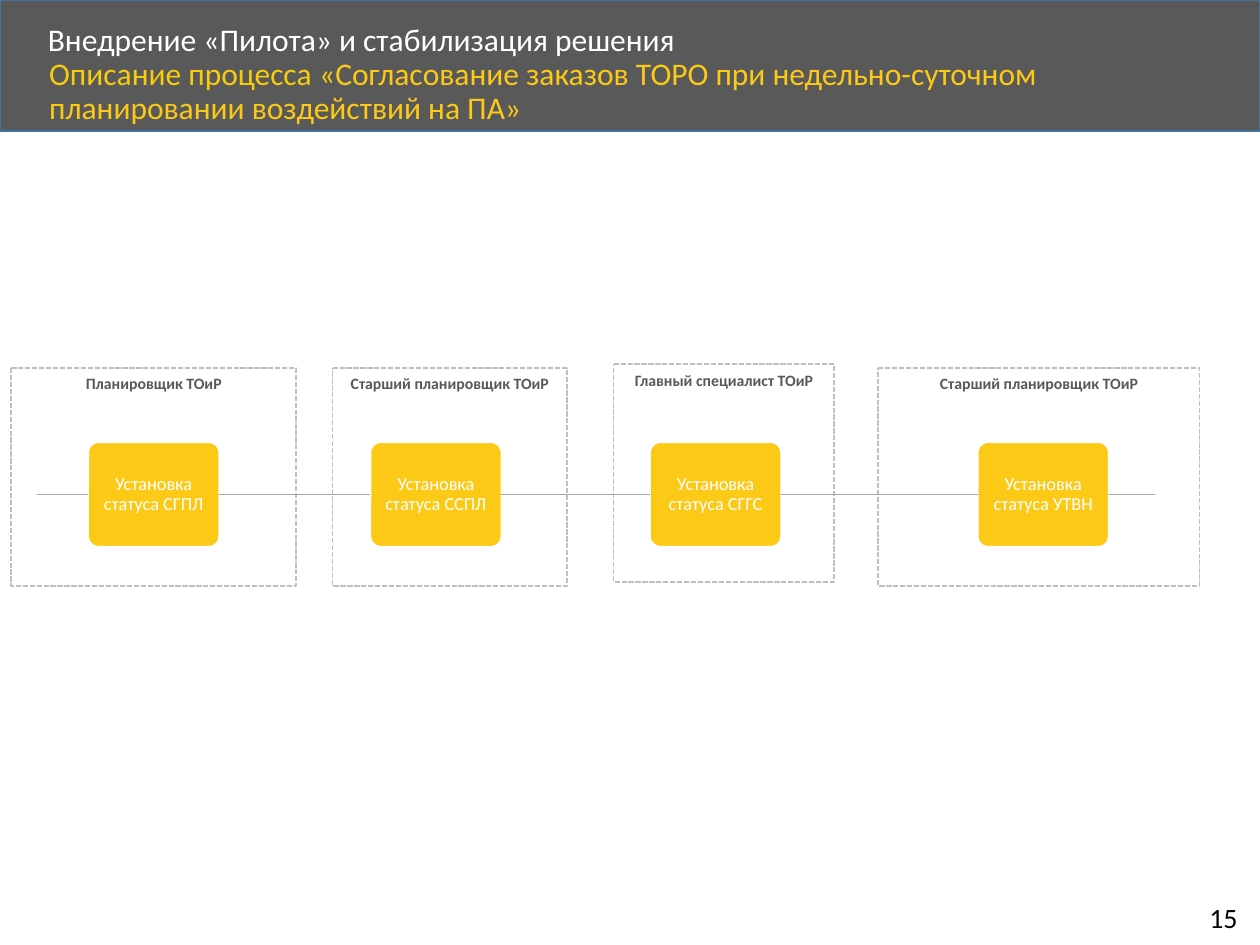
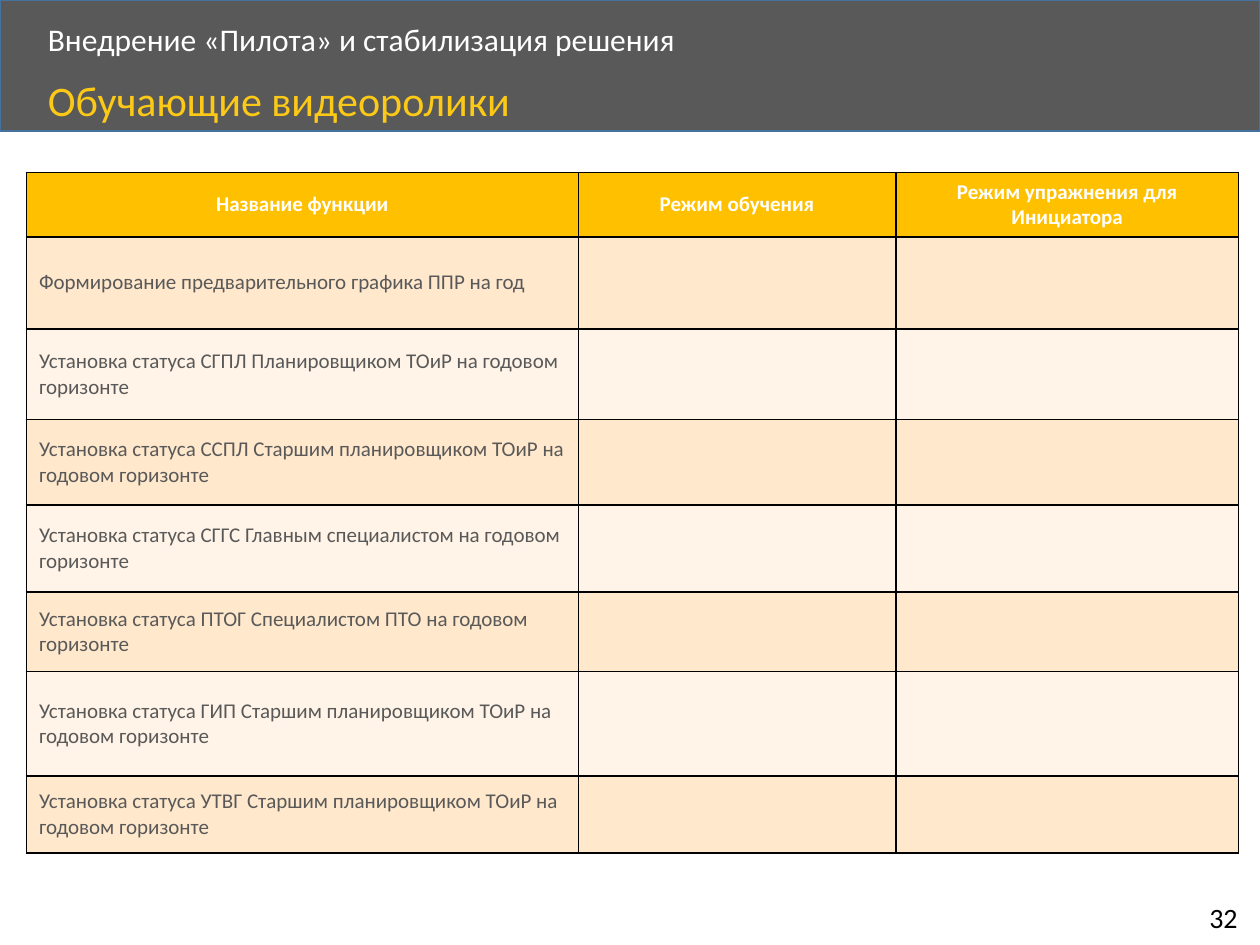
from dataclasses import dataclass

from lxml.etree import SubElement
from pptx import Presentation
from pptx.dml.color import RGBColor
from pptx.enum.dml import MSO_LINE
from pptx.enum.shapes import MSO_CONNECTOR, MSO_SHAPE
from pptx.enum.text import MSO_ANCHOR, MSO_AUTO_SIZE, PP_ALIGN
from pptx.oxml import parse_xml
from pptx.oxml.ns import nsdecls, qn
from pptx.util import Inches, Pt

# Shared look
FONT = "Calibri"
WHITE, BLACK = "FFFFFF", "000000"
DARK, BAND_EDGE = "595959", "43739E"
YELLOW, PALE_YELLOW = "FCC917", "F6CC0C"
FRAME_GREY, LINE_GREY = "BFBFBF", "A6A6A6"
HEADER_FILL, ROW_FILLS = "FFC000", ("FFE8CC", "FFF4E7")
SECTION = "Внедрение «Пилота» и стабилизация решения"

# Page grid: 100 columns by 75 rows
WIDTH, HEIGHT = Inches(10), Inches(7.5)
COLUMN, ROW = WIDTH / 100, HEIGHT / 75

RIGHT_SIDE, LEFT_SIDE = 3, 1


@dataclass(frozen=True)
class Area:
    """A place on the page, in grid columns and rows."""
    left: float
    top: float
    width: float
    height: float

    def emu(self) -> tuple:
        return (round(self.left * COLUMN), round(self.top * ROW),
                round(self.width * COLUMN), round(self.height * ROW))


@dataclass(frozen=True)
class Stage:
    """A role's frame and the step this role performs."""
    role: str
    status: str
    frame: Area
    step_left: float


STAGES = (
    Stage("Планировщик ТОиР", "СГПЛ", Area(0.9, 29.2, 22.6, 17.3), 7),
    Stage("Старший планировщик ТОиР", "ССПЛ", Area(26.4, 29.2, 18.6, 17.3), 29.4),
    Stage("Главный специалист ТОиР", "СГГС", Area(48.7, 28.9, 17.5, 17.3), 51.6),
    Stage("Старший планировщик ТОиР", "УТВН", Area(69.7, 29.2, 25.5, 17.3), 77.6),
)
STEP_TOP, STEP_WIDTH, STEP_HEIGHT = 35.1, 10.4, 8.3
FLOW_START, FLOW_END = 2.9, 91.7

TABLE_LEFT, TABLE_TOP = 2.1, 13.7
TABLE_COLUMNS = (43.8, 25.2, 27.2)
TABLE_ROWS = (5.1, 7.3, 7.2, 6.8, 6.9, 6.3, 8.3, 6.1)
TABLE_HEADS = ("Название функции", "Режим обучения",
               "Режим упражнения для Инициатора")
FUNCTIONS = (
    "Формирование предварительного графика ППР на год",
    "Установка статуса СГПЛ Планировщиком ТОиР на годовом горизонте",
    "Установка статуса ССПЛ Старшим планировщиком ТОиР на годовом горизонте",
    "Установка статуса СГГС Главным специалистом на годовом горизонте",
    "Установка статуса ПТОГ Специалистом ПТО на годовом горизонте",
    "Установка статуса ГИП Старшим планировщиком ТОиР на годовом горизонте",
    "Установка статуса УТВГ Старшим планировщиком ТОиР на годовом горизонте",
)


def color(code: str) -> RGBColor:
    return RGBColor.from_string(code)


def style(paragraph, size: float, ink: str, bold: bool = False,
          align=PP_ALIGN.LEFT, spacing: float = 1.0) -> None:
    paragraph.alignment = align
    paragraph.line_spacing = spacing
    paragraph.space_before = Pt(0)
    font = paragraph.font
    font.name, font.size, font.bold = FONT, Pt(size), bold
    font.color.rgb = color(ink)


def add_block(slide, preset, area: Area, fill: str | None, edge: str):
    block = slide.shapes.add_shape(preset, *area.emu())
    block.shadow.inherit = False
    if fill:
        block.fill.solid()
        block.fill.fore_color.rgb = color(fill)
    else:
        block.fill.background()
    block.line.color.rgb = color(edge)
    block.line.width = Pt(1)
    return block


def fill_placeholder(placeholder, area: Area, pieces: list[tuple[str, str]],
                     size: float, anchor) -> None:
    """Write coloured pieces of one paragraph, without a bullet."""
    placeholder.left, placeholder.top, placeholder.width, placeholder.height = area.emu()
    frame = placeholder.text_frame
    frame.word_wrap, frame.auto_size = True, MSO_AUTO_SIZE.NONE
    frame.vertical_anchor = anchor
    paragraph = frame.paragraphs[0]
    properties = paragraph._p.get_or_add_pPr()
    properties.set("marL", "0")
    properties.set("indent", "0")
    SubElement(properties, qn("a:buNone"))
    style(paragraph, size, pieces[0][1], spacing=0.9)
    for text, ink in pieces:
        run = paragraph.add_run()
        run.text = text
        if ink != pieces[0][1]:
            run.font.color.rgb = color(ink)


def add_page(deck, number: int, subtitle: list[tuple[str, str]],
             subtitle_area: Area, subtitle_size: float):
    """Add a slide with the band, both headings and the page number."""
    slide = deck.slides.add_slide(deck.slide_layouts[1])
    band = add_block(slide, MSO_SHAPE.RECTANGLE, Area(0, 0, 100, 10.4), DARK, BAND_EDGE)
    slide.shapes._spTree.insert(2, band._element)
    fill_placeholder(slide.shapes.title, Area(2.8, 1.4, 80.7, 3.8),
                     [(SECTION, WHITE)], 18, MSO_ANCHOR.MIDDLE)
    fill_placeholder(slide.placeholders[1], subtitle_area, subtitle,
                     subtitle_size, MSO_ANCHOR.TOP)
    page_number = slide.shapes.add_textbox(*Area(95, 71, 4.6, 3.7).emu())
    page_number.text_frame.word_wrap = False
    page_number.text_frame.text = str(number)
    style(page_number.text_frame.paragraphs[0], 16, BLACK)
    return slide


def add_role_frame(slide, stage: Stage) -> None:
    frame = add_block(slide, MSO_SHAPE.ROUNDED_RECTANGLE, stage.frame, None, FRAME_GREY)
    frame.adjustments[0] = 0
    frame.line.dash_style = MSO_LINE.SQUARE_DOT
    frame.text_frame.vertical_anchor = MSO_ANCHOR.TOP
    frame.text_frame.text = stage.role
    style(frame.text_frame.paragraphs[0], 9, DARK, bold=True, align=PP_ALIGN.CENTER)


def add_step(slide, stage: Stage):
    step = add_block(slide, MSO_SHAPE.ROUNDED_RECTANGLE,
                     Area(stage.step_left, STEP_TOP, STEP_WIDTH, STEP_HEIGHT),
                     YELLOW, WHITE)
    step.adjustments[0] = 0.1
    text = step.text_frame
    text.margin_left = text.margin_right = Inches(0.03)
    text.margin_top = text.margin_bottom = Inches(0.03)
    text.vertical_anchor = MSO_ANCHOR.MIDDLE
    text.text = f"Установка статуса {stage.status}"
    style(text.paragraphs[0], 10.5, WHITE, align=PP_ALIGN.CENTER, spacing=0.9)
    return step


def add_flow_line(slide, source, target) -> None:
    """Join two steps; a missing step means the open end of the flow."""
    middle = round((STEP_TOP + STEP_HEIGHT / 2) * ROW)
    line = slide.shapes.add_connector(
        MSO_CONNECTOR.STRAIGHT, round(FLOW_START * COLUMN), middle,
        round(FLOW_END * COLUMN), middle)
    if source is not None:
        line.begin_connect(source, RIGHT_SIDE)
    if target is not None:
        line.end_connect(target, LEFT_SIDE)
    line.line.color.rgb = color(LINE_GREY)
    line.line.width = Pt(0.5)
    SubElement(line._element.spPr, qn("a:effectLst"))


def format_cell(cell, text: str, fill: str, ink: str, bold: bool, align) -> None:
    cell.fill.solid()
    cell.fill.fore_color.rgb = color(fill)
    cell.vertical_anchor = MSO_ANCHOR.MIDDLE
    cell.text = text
    style(cell.text_frame.paragraphs[0], 12, ink, bold, align)
    properties = cell._tc.get_or_add_tcPr()
    for index, side in enumerate("LRTB"):
        properties.insert(index, parse_xml(
            f'<a:ln{side} {nsdecls("a")} w="{Pt(1)}"><a:solidFill>'
            f'<a:srgbClr val="{BLACK}"/></a:solidFill></a:ln{side}>'))


def build_approval(deck) -> None:
    slide = add_page(
        deck, 15,
        [("Описание процесса ", PALE_YELLOW),
         ("«Согласование заказов ТОРО при недельно-суточном "
          "планировании воздействий на ПА»", YELLOW)],
        Area(2.9, 4.1, 86.7, 4.5), 18)
    for stage in STAGES:
        add_role_frame(slide, stage)
    steps = [add_step(slide, stage) for stage in STAGES]
    for source, target in zip([None, *steps], [*steps, None]):
        add_flow_line(slide, source, target)


def build_training(deck) -> None:
    slide = add_page(deck, 32, [("Обучающие видеоролики", YELLOW)],
                     Area(2.8, 5.9, 86.7, 4.5), 24)
    area = Area(TABLE_LEFT, TABLE_TOP, sum(TABLE_COLUMNS), sum(TABLE_ROWS))
    videos = slide.shapes.add_table(
        len(TABLE_ROWS), len(TABLE_COLUMNS), *area.emu()).table
    for column, width in zip(videos.columns, TABLE_COLUMNS):
        column.width = round(width * COLUMN)
    for row, height in zip(videos.rows, TABLE_ROWS):
        row.height = round(height * ROW)
    for index, head in enumerate(TABLE_HEADS):
        format_cell(videos.cell(0, index), head, HEADER_FILL, WHITE, True, PP_ALIGN.CENTER)
    for row_index, function in enumerate(FUNCTIONS, start=1):
        fill = ROW_FILLS[(row_index - 1) % 2]
        for index, text in enumerate((function, "", "")):
            format_cell(videos.cell(row_index, index), text, fill, DARK,
                        False, PP_ALIGN.LEFT)


def main() -> None:
    deck = Presentation()
    deck.slide_width, deck.slide_height = WIDTH, HEIGHT
    build_approval(deck)
    build_training(deck)
    deck.save("out.pptx")


if __name__ == "__main__":
    main()
